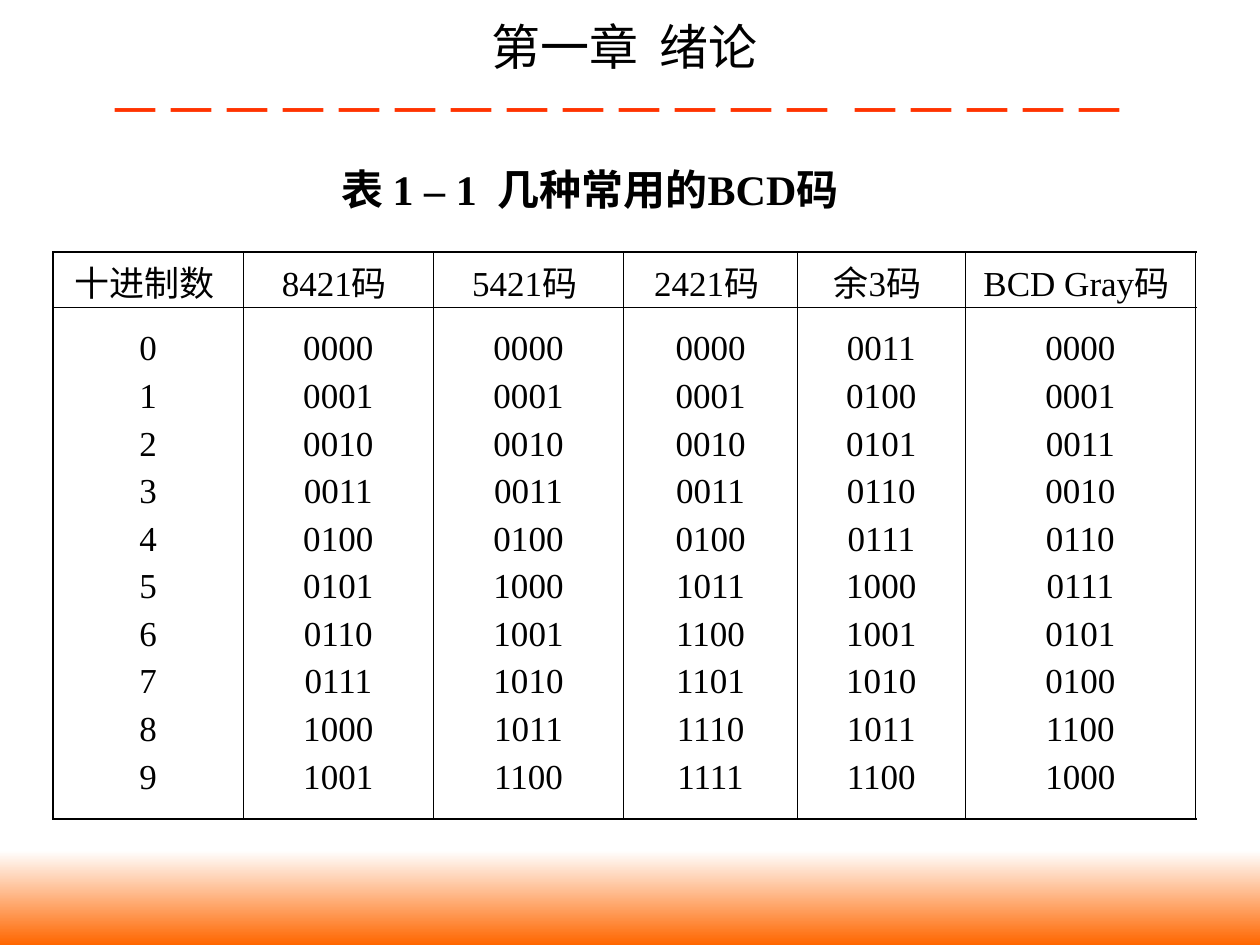
"""Build a slide with a table of common BCD codes."""
from dataclasses import dataclass

from lxml import etree
from pptx import Presentation
from pptx.dml.color import RGBColor
from pptx.enum.shapes import MSO_SHAPE
from pptx.enum.text import MSO_ANCHOR, MSO_AUTO_SIZE, PP_ALIGN
from pptx.oxml.ns import qn
from pptx.util import Inches, Pt

LEFT, CENTER = PP_ALIGN.LEFT, PP_ALIGN.CENTER
TOP, MIDDLE = MSO_ANCHOR.TOP, MSO_ANCHOR.MIDDLE
GROW = MSO_AUTO_SIZE.SHAPE_TO_FIT_TEXT
RECTANGLE = MSO_SHAPE.RECTANGLE
TITLE_ONLY = 5


@dataclass(frozen=True)
class Theme:
    ink: str = "000000"
    paper: str = "FFFFFF"
    rule: str = "FF3300"
    glow: str = "FF6600"
    latin: str = "Times New Roman"
    cjk: str = "Noto Sans CJK SC"
    chapter_size: int = 28
    rule_size: int = 32
    caption_size: int = 24
    cell_size: int = 20
    row_gap: int = 5
    outer_line: float = 1.08
    inner_line: float = 0.45


HEADERS = ["十进制数 ", "8421码 ", "5421码 ", "2421码 ", "余3码 ", "BCD Gray码 "]
CODES = [
    "0 1 2 3 4 5 6 7 8 9",
    "0000 0001 0010 0011 0100 0101 0110 0111 1000 1001",
    "0000 0001 0010 0011 0100 1000 1001 1010 1011 1100",
    "0000 0001 0010 0011 0100 1011 1100 1101 1110 1111",
    "0011 0100 0101 0110 0111 1000 1001 1010 1011 1100",
    "0000 0001 0011 0010 0110 0111 0101 0100 1100 1000",
]
COLUMN_WIDTHS = [1.51, 1.51, 1.51, 1.38, 1.33, 1.83]
ROW_HEIGHTS = [0.44, 4.06]


def write(paragraph, text, *, size, color, latin, cjk, align=LEFT, bold=False, before=0):
    """Add formatted text to a paragraph."""
    paragraph.alignment = align
    paragraph.space_before = Pt(before)
    run = paragraph.add_run()
    run.text = text
    font = run.font
    font.size, font.bold, font.name = Pt(size), bold, latin
    font.color.rgb = RGBColor.from_string(color)
    east_asian = etree.SubElement(run._r.get_or_add_rPr(), qn("a:ea"))
    east_asian.set("typeface", cjk)


class SlideBuilder:
    """Hold the theme and the current slide."""

    def __init__(self, slide, theme):
        self.slide = slide
        self.theme = theme

    def footer_glow(self, left, top, width, height):
        """Draw the gradient band at the foot of the slide."""
        band = self.slide.shapes.add_shape(
            RECTANGLE, Inches(left), Inches(top), Inches(width), Inches(height))
        band.shadow.inherit = False
        band.line.fill.background()
        band.fill.gradient()
        band.fill.gradient_angle = 270
        for stop, color in zip(band.fill.gradient_stops, (self.theme.paper, self.theme.glow)):
            stop.color.rgb = RGBColor.from_string(color)

    def title(self, chapter, rule, left, top, width, height):
        """Place the chapter title with its dashed rule below."""
        theme = self.theme
        heading = self.slide.shapes.title
        heading.left, heading.top = Inches(left), Inches(top)
        heading.width, heading.height = Inches(width), Inches(height)
        frame = heading.text_frame
        frame.auto_size, frame.vertical_anchor = GROW, TOP
        write(frame.paragraphs[0], chapter, size=theme.chapter_size, color=theme.ink,
              latin=theme.cjk, cjk=theme.cjk, align=CENTER)
        write(frame.add_paragraph(), rule, size=theme.rule_size, color=theme.rule,
              latin=theme.latin, cjk=theme.cjk)

    def caption(self, text, left, top, width, height):
        """Place the table caption."""
        theme = self.theme
        caption = self.slide.shapes.add_textbox(
            Inches(left), Inches(top), Inches(width), Inches(height))
        frame = caption.text_frame
        frame.word_wrap, frame.auto_size = False, GROW
        write(frame.paragraphs[0], text, size=theme.caption_size, color=theme.ink,
              latin=theme.latin, cjk=theme.cjk, bold=True)

    def borders(self, cell, outer_sides):
        """Draw the four borders of a cell, heavier on the outer sides."""
        properties = cell._tc.get_or_add_tcPr()
        for side in "LRTB":
            weight = self.theme.outer_line if side in outer_sides else self.theme.inner_line
            line = etree.SubElement(properties, qn(f"a:ln{side}"), w=str(Pt(weight)))
            fill = etree.SubElement(line, qn("a:solidFill"))
            etree.SubElement(fill, qn("a:srgbClr"), val=self.theme.ink)

    def table(self, rows, left, top, widths, heights):
        """Draw a table whose cells each hold a list of lines."""
        theme = self.theme
        grid = self.slide.shapes.add_table(
            len(rows), len(widths), Inches(left), Inches(top),
            Inches(sum(widths)), Inches(sum(heights))).table
        grid.first_row = grid.horz_banding = False
        for column, width in zip(grid.columns, widths):
            column.width = Inches(width)
        for row, height in zip(grid.rows, heights):
            row.height = Inches(height)
        last_row, last_column = len(rows) - 1, len(widths) - 1
        for r, row in enumerate(rows):
            for c, lines in enumerate(row):
                cell = grid.cell(r, c)
                edges = {"T": r == 0, "B": r == last_row, "L": c == 0, "R": c == last_column}
                self.borders(cell, [side for side, outer in edges.items() if outer])
                cell.fill.background()
                cell.vertical_anchor = MIDDLE
                if r == 0:
                    cell.margin_top, cell.margin_bottom = Inches(0.03), Inches(0)
                for i, line in enumerate(lines):
                    frame = cell.text_frame
                    paragraph = frame.add_paragraph() if i else frame.paragraphs[0]
                    write(paragraph, line, size=theme.cell_size, color=theme.ink,
                          latin=theme.latin, cjk=theme.cjk, align=CENTER,
                          before=theme.row_gap if i else 0)


def main():
    """Build and save the slide."""
    deck = Presentation()
    deck.slide_width, deck.slide_height = Inches(10), Inches(7.5)
    builder = SlideBuilder(deck.slides.add_slide(deck.slide_layouts[TITLE_ONLY]), Theme())
    builder.footer_glow(0, 6.75, 10, 0.75)
    builder.title("第一章  绪论 ", "－" * 13 + " " + "－" * 5, 0.75, 0.08, 8.5, 1.1)
    builder.caption("表 1 – 1  几种常用的BCD码", 2.61, 1.25, 4.54, 0.5)
    rows = [[[header] for header in HEADERS], [codes.split() for codes in CODES]]
    builder.table(rows, 0.42, 2, COLUMN_WIDTHS, ROW_HEIGHTS)
    deck.save("out.pptx")


if __name__ == "__main__":
    main()
